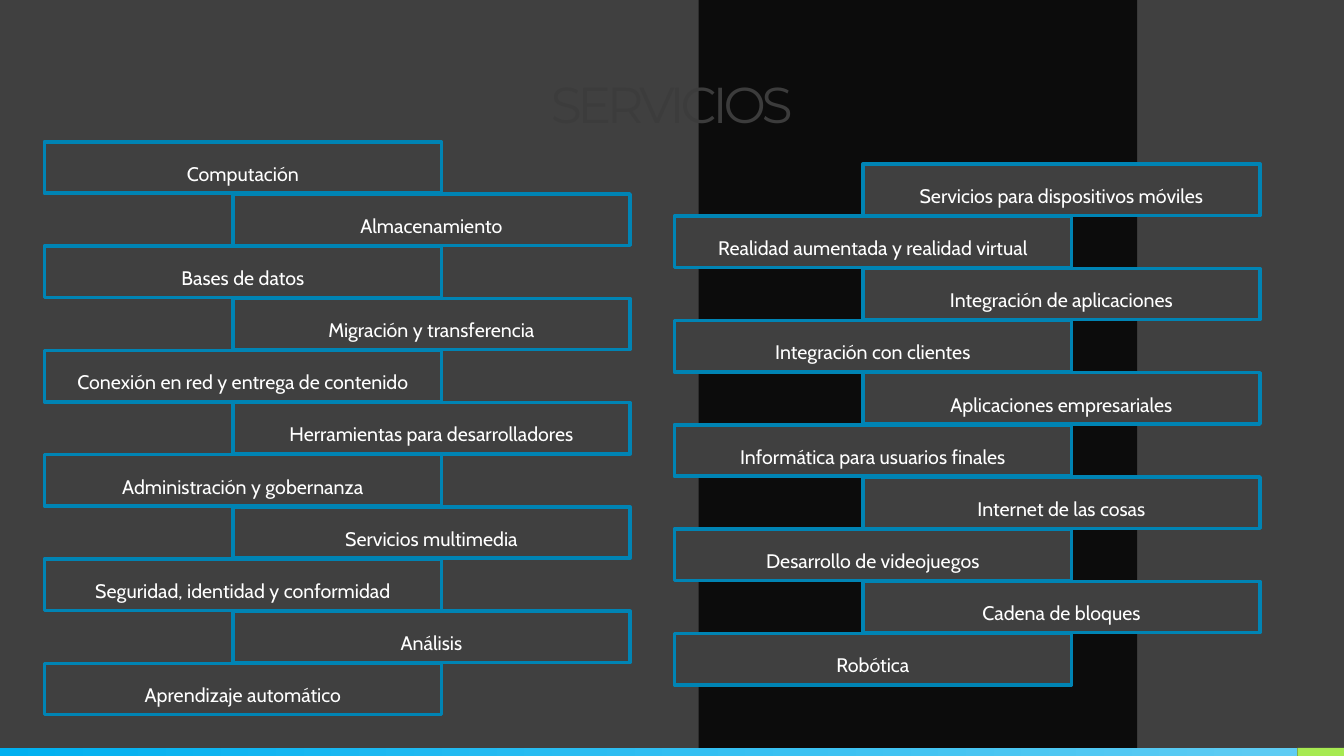
"""Builds the services slide: two staggered columns of labelled boxes."""
from typing import NamedTuple

from lxml import etree
from pptx import Presentation
from pptx import util as u
from pptx.dml import color
from pptx.enum import shapes, text
from pptx.oxml import ns

GREY, BLUE, WHITE = "404040", "0084B4", "FFFFFF"
BOX_WIDTH, BOX_HEIGHT = 283.7, 36.7
ROW_PITCH, STAGGER = 37.25, 134.7


class Panel(NamedTuple):
    left: float
    top: float
    width: float
    height: float
    colours: tuple[str, ...]
    opacity: int = 100


class Column(NamedTuple):
    left: float
    top: float
    starts_right: bool
    services: tuple[str, ...]


PANELS = (
    Panel(499, 0, 313.2, 534.24, ("000000",), 80),
    Panel(0, 534.24, 926.64, 5.76, ("00B0F0", "5ECCF3")),
    Panel(926.64, 534.24, 33.36, 5.76, ("A7EA52",)),
)

COLUMNS = (
    Column(31.7, 101.3, False, (
        "Computación",
        "Almacenamiento",
        "Bases de datos",
        "Migración y transferencia",
        "Conexión en red y entrega de contenido",
        "Herramientas para desarrolladores",
        "Administración y gobernanza",
        "Servicios multimedia",
        "Seguridad, identidad y conformidad",
        "Análisis",
        "Aprendizaje automático",
    )),
    Column(481.7, 117.2, True, (
        "Servicios para dispositivos móviles",
        "Realidad aumentada y realidad virtual",
        "Integración de aplicaciones",
        "Integración con clientes",
        "Aplicaciones empresariales",
        "Informática para usuarios finales",
        "Internet de las cosas",
        "Desarrollo de videojuegos",
        "Cadena de bloques",
        "Robótica",
    )),
)


def rgb(value: str) -> color.RGBColor:
    return color.RGBColor.from_string(value)


def paint(fill, value: str) -> None:
    fill.solid()
    fill.fore_color.rgb = rgb(value)


def add_rectangle(page, left: float, top: float, width: float, height: float):
    box = page.shapes.add_shape(
        shapes.MSO_SHAPE.RECTANGLE,
        u.Pt(left), u.Pt(top), u.Pt(width), u.Pt(height))
    box.shadow.inherit = False
    return box


def add_panel(page, panel: Panel) -> None:
    box = add_rectangle(page, panel.left, panel.top, panel.width, panel.height)
    box.line.fill.background()
    if len(panel.colours) > 1:
        box.fill.gradient()
        box.fill.gradient_angle = 0
        for stop, value in zip(box.fill.gradient_stops, panel.colours):
            stop.color.rgb = rgb(value)
    else:
        paint(box.fill, panel.colours[0])
    if panel.opacity < 100:
        tint = box.element.spPr.find(".//" + ns.qn("a:srgbClr"))
        etree.SubElement(tint, ns.qn("a:alpha"), val=str(panel.opacity * 1000))
    page.shapes.title.element.addprevious(box.element)


def set_text(box, words: str, font: str, size: float, value: str,
             spacing: float, anchor: text.MSO_ANCHOR):
    frame = box.text_frame
    frame.word_wrap = True
    frame.auto_size = text.MSO_AUTO_SIZE.NONE
    frame.vertical_anchor = anchor
    frame.margin_left = frame.margin_right = u.Pt(0)
    frame.margin_top = frame.margin_bottom = u.Pt(0)
    para = frame.paragraphs[0]
    para.text = words
    para.alignment = text.PP_ALIGN.CENTER
    para.line_spacing = spacing
    para.font.name = font
    para.font.size = u.Pt(size)
    para.font.color.rgb = rgb(value)
    return para


def format_title(title) -> None:
    title.left, title.top = u.Pt(339.1), u.Pt(38.9)
    title.width, title.height = u.Pt(281.5), u.Pt(56.9)
    para = set_text(title, "SERVICIOS", "Montserrat", 36, "3C3C3C", 0.9,
                    text.MSO_ANCHOR.BOTTOM)
    para.runs[0].font.language_id = None
    para.runs[0].font.size = u.Pt(36)
    para.runs[0].element.get_or_add_rPr().set("spc", "-300") if hasattr(
        para.runs[0], "element") else para.runs[0].font._element.set("spc", "-300")


def add_service(page, words: str, left: float, top: float) -> None:
    box = add_rectangle(page, left, top, BOX_WIDTH, BOX_HEIGHT)
    paint(box.fill, GREY)
    paint(box.line.fill, BLUE)
    box.line.width = u.Pt(2.5)
    para = set_text(box, words, "Cabin", 14, WHITE, 1.5, text.MSO_ANCHOR.MIDDLE)
    para.space_before, para.space_after = u.Pt(10), u.Pt(5)


def add_column(page, column: Column) -> None:
    for row, words in enumerate(column.services):
        shift = STAGGER * ((row + column.starts_right) % 2)
        add_service(page, words, column.left + shift,
                    column.top + row * ROW_PITCH)


def main() -> None:
    deck = Presentation()
    deck.slide_width, deck.slide_height = u.Pt(960), u.Pt(540)
    page = deck.slides.add_slide(deck.slide_layouts[5])
    paint(page.background.fill, GREY)
    format_title(page.shapes.title)
    for panel in PANELS:
        add_panel(page, panel)
    for column in COLUMNS:
        add_column(page, column)
    deck.save("out.pptx")


if __name__ == "__main__":
    main()
